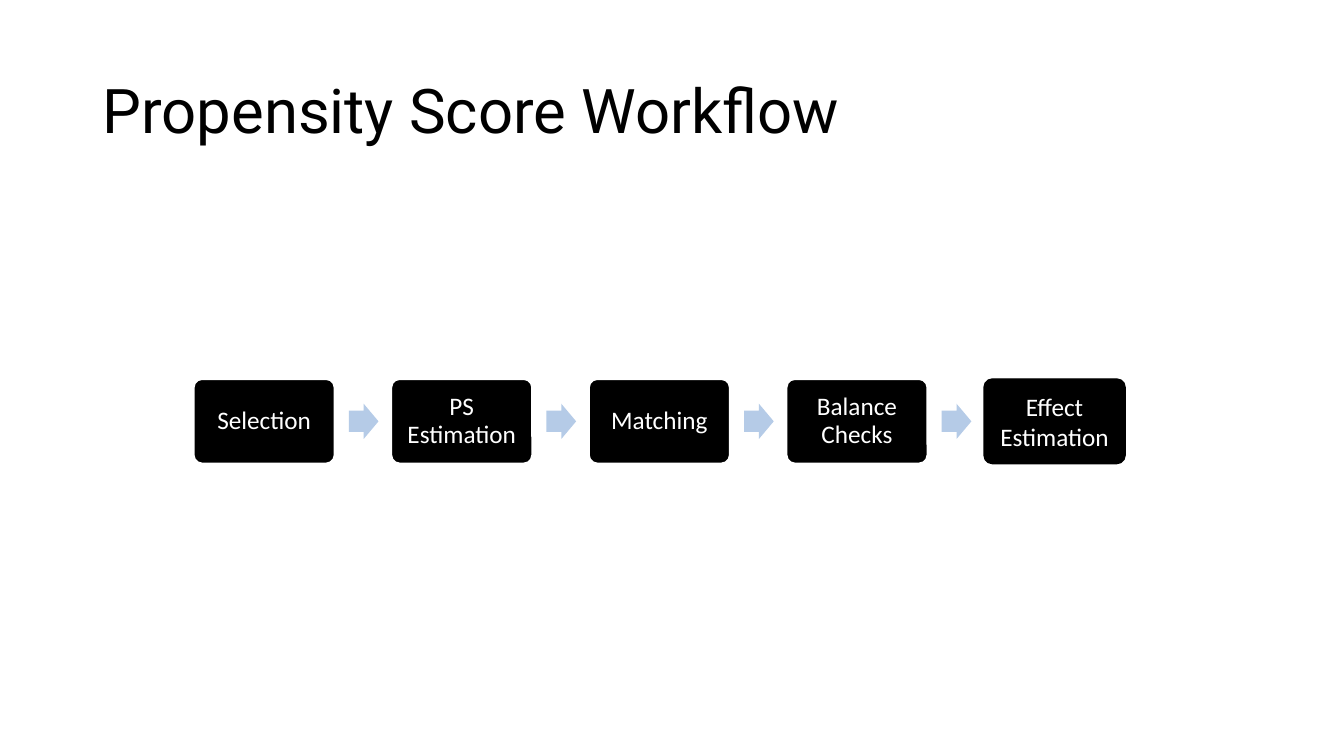
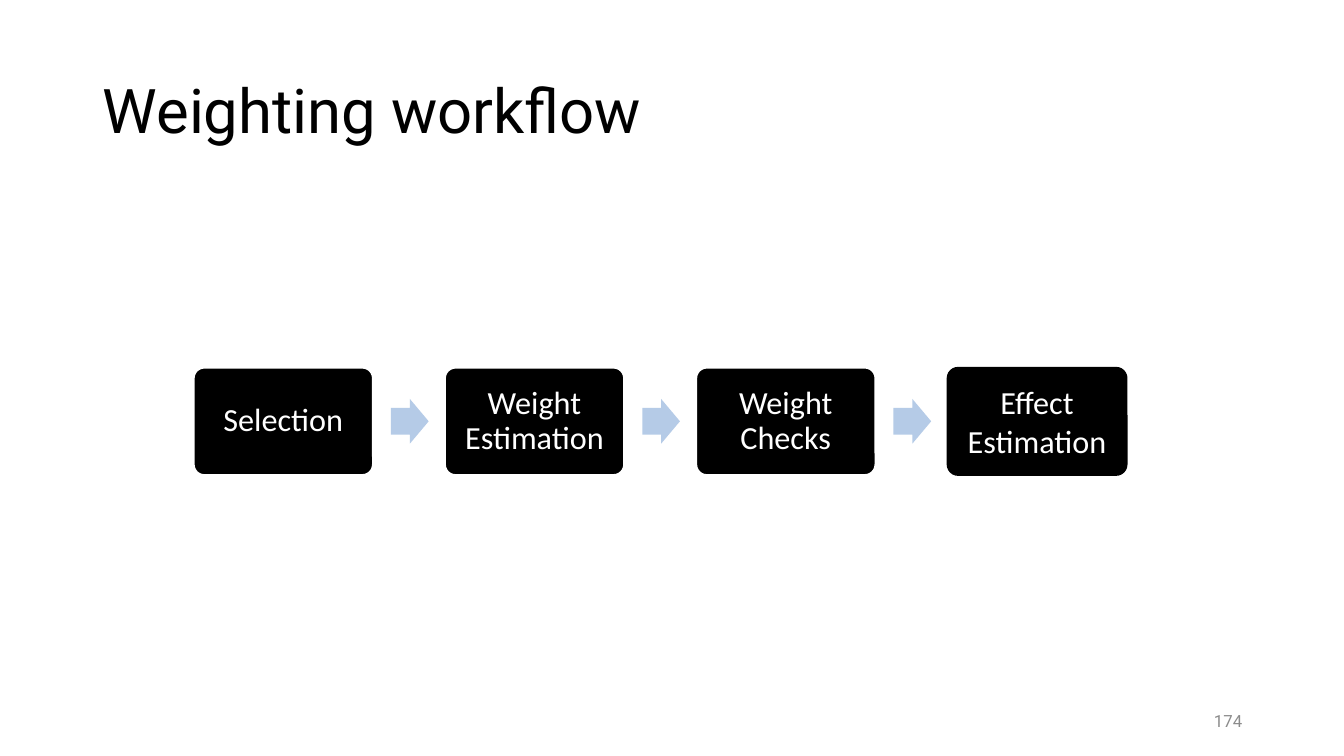
from pptx import Presentation
from pptx.dml.color import RGBColor
from pptx.enum.shapes import MSO_SHAPE as Shape
from pptx.enum.text import MSO_ANCHOR as Anchor, PP_ALIGN as Align
from pptx.util import Inches, Pt

BLACK, WHITE, BLUE, GRAY = "000000", "FFFFFF", "B5CBE7", "8C8C8C"
LEFT, MID = 1.92, 4.18  # left edge and centre line of each flow

# Title, step width, text size, steps, page number
DECK = [
    ("Propensity Score Workflow", 1.4, 18,
     ["Selection", "PS Estimation", "Matching", "Balance\nChecks",
      "Effect Estimation"], None),
    ("Weighting workflow", 1.78, 23,
     ["Selection", "Weight Estimation", "Weight\nChecks",
      "Effect Estimation"], "174"),
]


def rgb(code):
    return RGBColor.from_string(code)


def write(shape, text, font, size, color, align, space=1.0):
    frame = shape.text_frame
    frame.word_wrap = True
    frame.vertical_anchor = Anchor.MIDDLE
    para = frame.paragraphs[0]
    para.alignment = align
    para.line_spacing = space
    for i, line in enumerate(text.split("\n")):
        if i:
            para.add_line_break()
        run = para.add_run()
        run.text = line
        run.font.name = font
        run.font.size = Pt(size)
        run.font.color.rgb = rgb(color)


prs = Presentation()
prs.slide_width, prs.slide_height = Inches(13.33), Inches(7.5)

for title, wide, size, steps, page in DECK:
    slide = prs.slides.add_slide(prs.slide_layouts[6])
    shapes = slide.shapes

    # Title
    box = shapes.add_textbox(Inches(0.92), Inches(0.4), Inches(11.5), Inches(1.45))
    write(box, title, "Roboto", 44, BLACK, Align.LEFT, 0.9)

    # Page number
    if page:
        box = shapes.add_textbox(Inches(9.42), Inches(6.95), Inches(3), Inches(0.4))
        write(box, page, "Roboto", 12, GRAY, Align.RIGHT)

    # Flow: every size follows from the step width
    high, tip = 0.6 * wide, 0.25 * wide
    for i, step in enumerate(steps):
        last = i == len(steps) - 1
        x = LEFT + 1.4 * wide * i
        card = shapes.add_shape(Shape.ROUNDED_RECTANGLE, Inches(x),
                                Inches(MID - high / 2), Inches(wide), Inches(high))
        card.adjustments[0] = 0.1
        card.shadow.inherit = False
        card.fill.solid()
        card.fill.fore_color.rgb = rgb(BLACK)
        card.line.color.rgb = rgb(BLACK if last else WHITE)
        card.line.width = Pt(1 if last else 1.5)
        frame = card.text_frame
        frame.margin_left = frame.margin_right = Inches(0.05 * wide)
        frame.margin_top = frame.margin_bottom = Inches(0.05 * wide)
        write(card, step, "Calibri", size, WHITE, Align.CENTER, 1.0 if last else 0.9)

        if not last:
            arrow = shapes.add_shape(Shape.RIGHT_ARROW, Inches(x + 1.1 * wide),
                                     Inches(MID - tip / 2), Inches(0.21 * wide),
                                     Inches(tip))
            arrow.adjustments[0] = 0.6
            arrow.adjustments[1] = 0.5
            arrow.shadow.inherit = False
            arrow.fill.solid()
            arrow.fill.fore_color.rgb = rgb(BLUE)
            arrow.line.fill.background()

prs.save("out.pptx")
